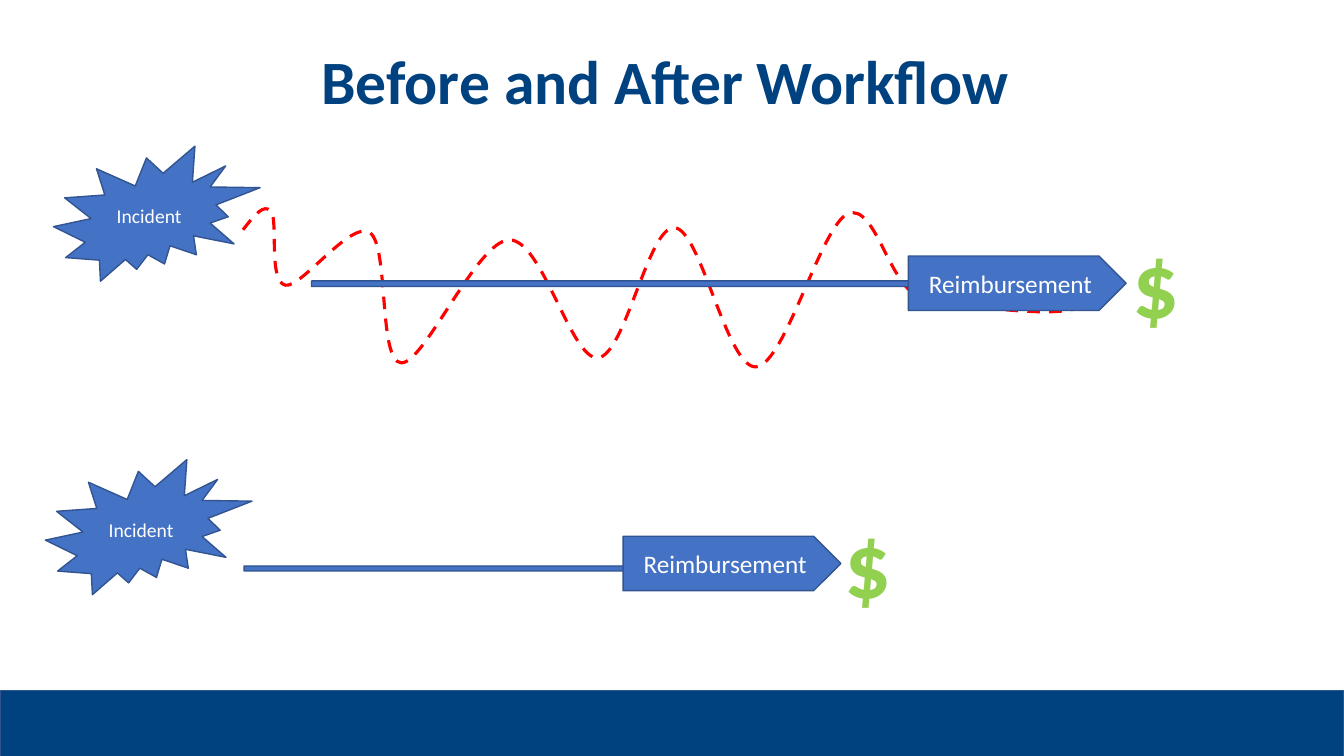
from lxml.etree import SubElement
from pptx import Presentation
from pptx.dml.color import RGBColor
from pptx.enum.dml import MSO_LINE
from pptx.enum.shapes import MSO_SHAPE
from pptx.enum.text import MSO_ANCHOR, PP_ALIGN
from pptx.oxml.ns import qn
from pptx.util import Inches, Pt

NAVY = RGBColor(0x00, 0x42, 0x80)
BLUE = RGBColor(0x44, 0x72, 0xC4)
EDGE = RGBColor(0x32, 0x54, 0x91)
RED = RGBColor(0xFF, 0x00, 0x00)
GREEN = RGBColor(0x92, 0xD0, 0x50)
WHITE = RGBColor(0xFF, 0xFF, 0xFF)
FONT = "Calibri"

TITLE = "Before and After Workflow"
LANES = [
    {"burst": (0.53, 1.45), "arrow": (3.09, 2.76, 8.04, 0.11),
     "plate": (9.01, 2.54), "money": (11.13, 2.19)},
    {"burst": (0.45, 4.56), "arrow": (2.42, 5.59, 3.86, 0.1),
     "plate": (6.18, 5.32), "money": (8.28, 4.97)},
]
FRAME = (2.41, 2.07, 8.35, 1.57)
START = (2.41, 2.28)
CURVES = [
    ((2.52, 2.14), (2.62, 2.01), (2.69, 2.1)),
    ((2.76, 2.2), (2.66, 2.79), (2.83, 2.83)),
    ((2.99, 2.86), (3.48, 2.18), (3.67, 2.31)),
    ((3.86, 2.44), (3.75, 3.59), (3.98, 3.6)),
    ((4.21, 3.61), (4.73, 2.39), (5.05, 2.38)),
    ((5.38, 2.37), (5.66, 3.57), (5.93, 3.55)),
    ((6.2, 3.53), (6.43, 2.24), (6.69, 2.26)),
    ((6.95, 2.27), (7.21, 3.66), (7.5, 3.64)),
    ((7.79, 3.61), (8.14, 2.24), (8.41, 2.12)),
    ((8.69, 2.01), (8.82, 2.87), (9.14, 2.95)),
    ((9.46, 3.03), (11.7, 3.37), (10.33, 2.6)),
]


def add_run(para, text, size, color, bold=False):
    run = para.add_run()
    run.text = text
    run.font.name = FONT
    run.font.size = Pt(size)
    run.font.bold = bold
    run.font.color.rgb = color


def add_block(slide, kind, box, fill=BLUE, text=None, size=None):
    shape = slide.shapes.add_shape(kind, *map(Inches, box))
    shape.shadow.inherit = False
    shape.fill.solid()
    shape.fill.fore_color.rgb = fill
    shape.line.color.rgb = EDGE
    shape.line.width = Pt(1)
    if text:
        frame = shape.text_frame
        frame.vertical_anchor = MSO_ANCHOR.MIDDLE
        para = frame.paragraphs[0]
        para.alignment = PP_ALIGN.CENTER
        add_run(para, text, size, WHITE)


def add_money(slide, spot):
    box = slide.shapes.add_textbox(*map(Inches, (*spot, 0.89, 1.21)))
    box.text_frame.word_wrap = True
    add_run(box.text_frame.paragraphs[0], "$", 66, GREEN, True)


def add_step(route, kind, points):
    step = SubElement(route, qn(kind))
    for x, y in points:
        SubElement(step, qn("a:pt"), x=str(Inches(x - FRAME[0])),
                   y=str(Inches(y - FRAME[1])))


def add_wave(slide):
    pen = slide.shapes.build_freeform(*map(Inches, START))
    ends = [tuple(map(Inches, curve[-1])) for curve in CURVES]
    pen.add_line_segments(ends, close=False)
    wave = pen.convert_to_shape()
    wave.left, wave.top, wave.width, wave.height = map(Inches, FRAME)
    route = wave.element.xpath(".//a:path")[0]
    for step in list(route):
        route.remove(step)
    route.set("w", str(wave.width))
    route.set("h", str(wave.height))
    add_step(route, "a:moveTo", [START])
    for curve in CURVES:
        add_step(route, "a:cubicBezTo", curve)
    wave.shadow.inherit = False
    wave.fill.background()
    wave.line.color.rgb = RED
    wave.line.width = Pt(2.25)
    wave.line.dash_style = MSO_LINE.DASH


def add_title(slide):
    title = slide.shapes.title
    title.left, title.top = Inches(0.53), Inches(0.46)
    title.width, title.height = Inches(12.13), Inches(1.09)
    title.text_frame.vertical_anchor = MSO_ANCHOR.TOP
    para = title.text_frame.paragraphs[0]
    para.alignment = PP_ALIGN.CENTER
    para.line_spacing = 0.9
    add_run(para, TITLE, 44, NAVY, True)


def main():
    deck = Presentation()
    deck.slide_width, deck.slide_height = Inches(13.33), Inches(7.5)
    slide = deck.slides.add_slide(deck.slide_layouts[5])
    add_title(slide)
    add_block(slide, MSO_SHAPE.FLOWCHART_PROCESS, (0, 6.85, 13.33, 0.68), NAVY)
    add_wave(slide)
    for lane in LANES:
        add_block(slide, MSO_SHAPE.RIGHT_ARROW, lane["arrow"])
        add_block(slide, MSO_SHAPE.EXPLOSION2, (*lane["burst"], 2.05, 1.34),
                  text="Incident", size=14)
        add_money(slide, lane["money"])
        add_block(slide, MSO_SHAPE.PENTAGON, (*lane["plate"], 2.16, 0.54),
                  text="Reimbursement", size=18)
    deck.save("out.pptx")


if __name__ == "__main__":
    main()
